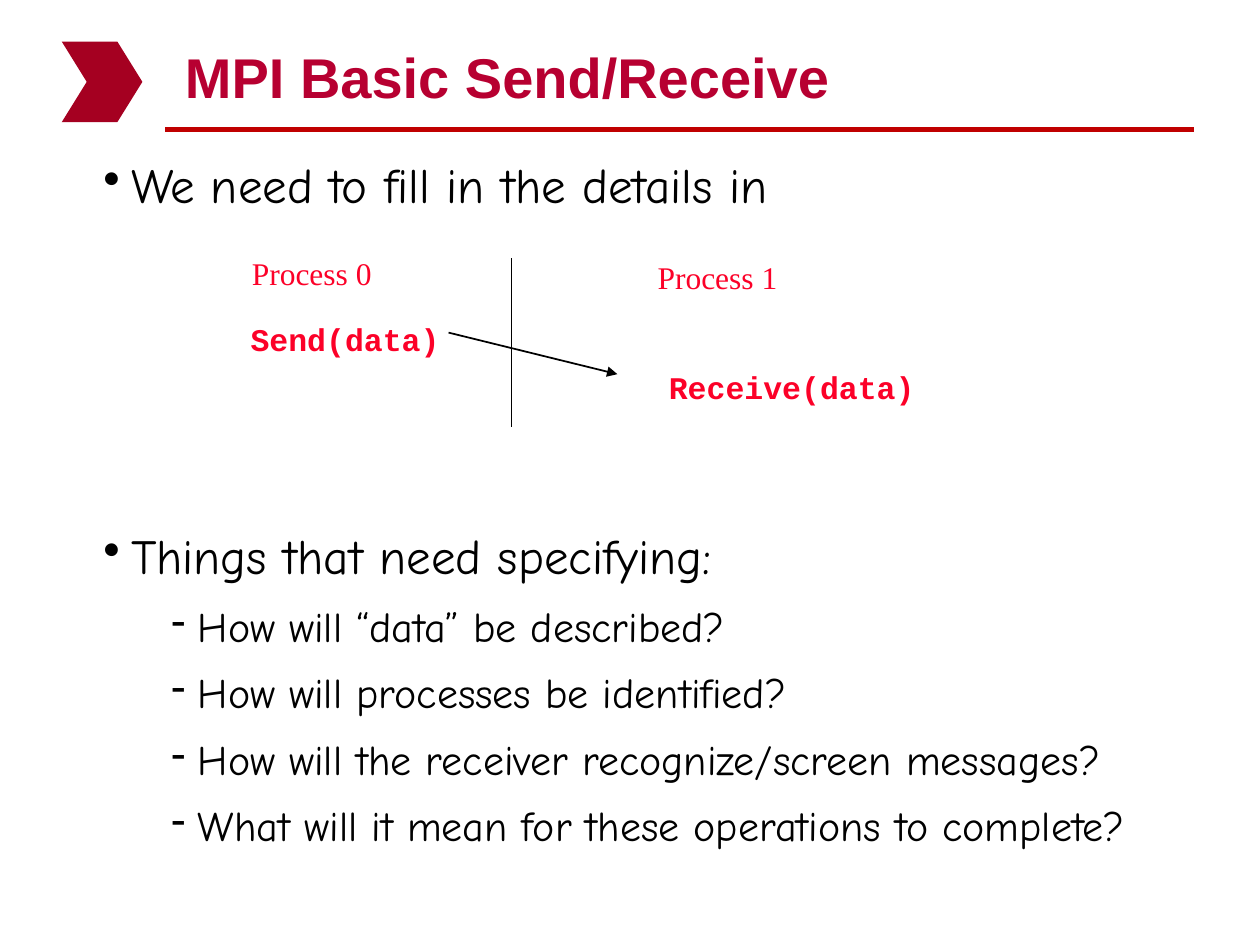
from dataclasses import dataclass

from lxml import etree
from pptx import Presentation
from pptx.dml.color import RGBColor
from pptx.enum.shapes import MSO_CONNECTOR, MSO_SHAPE
from pptx.enum.text import MSO_ANCHOR
from pptx.oxml.ns import qn
from pptx.util import Inches, Pt

STRAIGHT = MSO_CONNECTOR.STRAIGHT
CHEVRON = MSO_SHAPE.CHEVRON
TOP, BOTTOM = MSO_ANCHOR.TOP, MSO_ANCHOR.BOTTOM


@dataclass(frozen=True)
class Theme:
    title: str = "B70031"
    rule: str = "C00000"
    emblem: str = "A50021"
    ink: str = "000000"
    process: str = "FC0128"
    title_size: float = 32
    point_size: float = 28
    detail_size: float = 24
    label_size: float = 18
    heading_font: str = "Arial"
    body_font: str = "Comic Neue"
    label_font: str = "Times New Roman"
    code_font: str = "Courier New"


THEME = Theme()


@dataclass(frozen=True)
class Level:
    bullet: str
    size: float
    margin: float
    indent: float
    before: float


POINT = Level("•", THEME.point_size, 0.22, -0.22, 22.8)
DETAIL = Level("-", THEME.detail_size, 0.75, -0.21, 12)
DIAGRAM_GAP = 159  # points left free for the diagram


@dataclass(frozen=True)
class Item:
    text: str
    level: Level
    gap: float = 0


@dataclass(frozen=True)
class Label:
    text: str
    left: float
    top: float
    width: float
    code: bool = False


@dataclass(frozen=True)
class Line:
    start: tuple[float, float]
    end: tuple[float, float]
    color: str = THEME.ink
    width: float = 1
    arrow: bool = False


ITEMS = [
    Item("We need to fill in the details in", POINT),
    Item("Things that need specifying:", POINT, DIAGRAM_GAP),
    Item("How will “data” be described?", DETAIL),
    Item("How will processes be identified?", DETAIL),
    Item("How will the receiver recognize/screen messages?", DETAIL),
    Item("What will it mean for these operations to complete?", DETAIL),
]
LABELS = [
    Label("Process 0", 1.9, 1.97, 1.15),
    Label("Process 1", 5.12, 2, 1.15),
    Label("Send(data)", 1.89, 2.49, 1.7, code=True),
    Label("Receive(data)", 5.21, 2.87, 2.15, code=True),
]
TITLE_RULE = Line((1.31, 1.03), (9.48, 1.03), THEME.rule, 3)
DIVIDER = Line((4.06, 2.05), (4.06, 3.39))
MESSAGE = Line((3.56, 2.64), (4.9, 2.97), arrow=True)


def add_box(slide, left: float, top: float, width: float, height: float, *,
            wrap: bool = True, anchor=TOP, inset: tuple[float, float] = (0.1, 0.05)):
    box = slide.shapes.add_textbox(Inches(left), Inches(top), Inches(width), Inches(height))
    tf = box.text_frame
    tf.word_wrap = wrap
    tf.vertical_anchor = anchor
    tf.margin_left = tf.margin_right = Inches(inset[0])
    tf.margin_top = tf.margin_bottom = Inches(inset[1])
    return tf


def write(p, text: str, *, size: float, font: str, color: str, bold: bool = False) -> None:
    r = p.add_run()
    r.text = text
    r.font.size = Pt(size)
    r.font.name = font
    r.font.bold = bold
    r.font.color.rgb = RGBColor.from_string(color)


def set_bullet(p, level: Level) -> None:
    pPr = p._p.get_or_add_pPr()
    pPr.set("marL", str(Inches(level.margin)))
    pPr.set("indent", str(Inches(level.indent)))
    etree.SubElement(pPr, qn("a:buChar")).set("char", level.bullet)


def add_items(slide, items: list[Item]) -> None:
    tf = add_box(slide, 0.75, 1.25, 8.75, 5.58, inset=(0.07, 0.03))
    for i, item in enumerate(items):
        p = tf.add_paragraph() if i else tf.paragraphs[0]
        p.level = 1 if item.level is DETAIL else 0
        p.line_spacing = 0.9
        p.space_before = Pt(item.level.before + item.gap)
        set_bullet(p, item.level)
        write(p, item.text, size=item.level.size, font=THEME.body_font, color=THEME.ink)


def add_label(slide, label: Label) -> None:
    tf = add_box(slide, label.left, label.top, label.width, 0.4, wrap=False)
    write(tf.paragraphs[0], label.text, size=THEME.label_size, color=THEME.process,
          font=THEME.code_font if label.code else THEME.label_font, bold=label.code)


def add_line(slide, line: Line) -> None:
    ends = [Inches(v) for v in (*line.start, *line.end)]
    cx = slide.shapes.add_connector(STRAIGHT, *ends)
    cx.line.color.rgb = RGBColor.from_string(line.color)
    cx.line.width = Pt(line.width)
    if line.arrow:
        etree.SubElement(cx.line._get_or_add_ln(), qn("a:tailEnd")).set("type", "triangle")
    etree.SubElement(cx._element.spPr, qn("a:effectLst"))


def add_emblem(slide) -> None:
    sp = slide.shapes.add_shape(CHEVRON, Inches(0.49), Inches(0.33), Inches(0.64), Inches(0.64))
    sp.adjustments[0] = 0.31
    sp.shadow.inherit = False
    sp.fill.solid()
    sp.fill.fore_color.rgb = RGBColor.from_string(THEME.emblem)
    sp.line.fill.background()


def main() -> None:
    prs = Presentation()
    prs.slide_width, prs.slide_height = Inches(10), Inches(7.5)
    slide = prs.slides.add_slide(prs.slide_layouts[6])

    add_line(slide, TITLE_RULE)
    add_emblem(slide)
    title = add_box(slide, 1.37, 0.25, 8, 0.67, anchor=BOTTOM)
    write(title.paragraphs[0], "MPI Basic Send/Receive", size=THEME.title_size,
          font=THEME.heading_font, color=THEME.title, bold=True)
    add_items(slide, ITEMS)
    for label in LABELS:
        add_label(slide, label)
    for line in (DIVIDER, MESSAGE):
        add_line(slide, line)

    prs.save("out.pptx")


if __name__ == "__main__":
    main()
